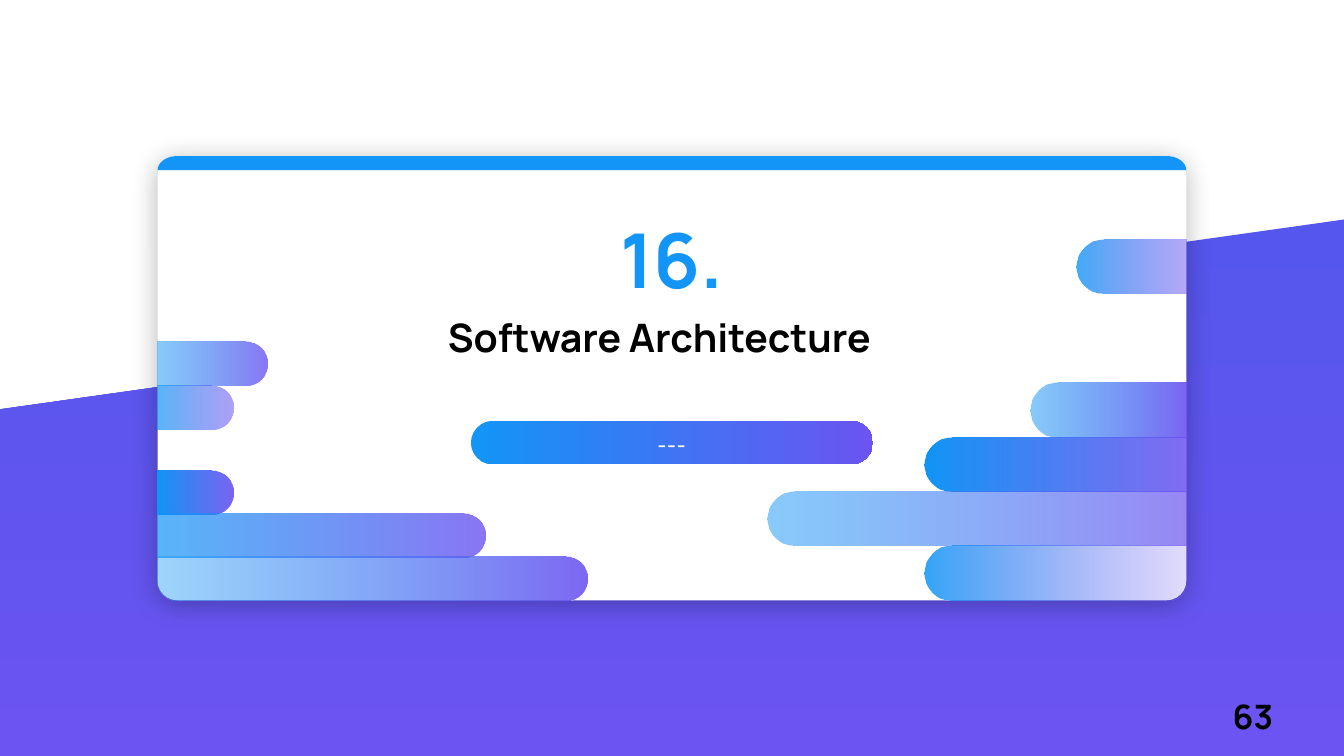
import pptx
import pptx.dml.color
import pptx.enum.shapes
import pptx.enum.text
import pptx.oxml
import pptx.oxml.ns
import pptx.util

Pt = pptx.util.Pt
RGBColor = pptx.dml.color.RGBColor
PP_ALIGN = pptx.enum.text.PP_ALIGN
ROUNDED = pptx.enum.shapes.MSO_SHAPE.ROUNDED_RECTANGLE
qn = pptx.oxml.ns.qn

BLUE = RGBColor(0x12, 0x95, 0xF6)
VIOLET = RGBColor(0x6B, 0x54, 0xF1)
INDIGO = RGBColor(0x55, 0x56, 0xED)
WHITE = RGBColor(0xFF, 0xFF, 0xFF)
BLACK = RGBColor(0x00, 0x00, 0x00)

CARD_LEFT, CARD_TOP, CARD_WIDTH, CARD_HEIGHT = 112.6, 111.5, 734.8, 317.3
CARD_RIGHT = CARD_LEFT + CARD_WIDTH
CARD_RADIUS = 14
STRIP_HEIGHT = 10.1
ARC_HANDLE = 0.55  # Bezier handle length for a quarter circle

# Bars as (top, length, start opacity, end opacity)
LEFT_BAR_HEIGHT = 31.3
LEFT_BARS = [
    (244.1, 78.3, 50, 80),
    (275.4, 54.1, 70, 55),
    (336, 54.1, 100, 90),
    (367, 234.1, 70, 80),
    (397.5, 307.2, 40, 88),
]
RIGHT_BAR_HEIGHT = 38.9
RIGHT_STACK_TOP, RIGHT_STEP = 273.4, 38.8
RIGHT_BARS = [(170.8, 78.5, 80, 50)] + [
    (RIGHT_STACK_TOP + row * RIGHT_STEP, length, start, end)
    for row, (length, start, end) in enumerate(
        [(111.2, 50, 90), (187.1, 100, 85), (299.1, 50, 70), (187.1, 85, 20)])
]


def a_element(parent, tag, **attributes):
    """Append a DrawingML element to parent."""
    element = pptx.oxml.parse_xml(f'<a:{tag} {pptx.oxml.ns.nsdecls("a")}/>')
    for key, value in attributes.items():
        element.set(key, str(value))
    parent.append(element)
    return element


def bend(line, previous, turn):
    """Make a straight segment a quarter arc; even turns set off vertically."""
    (x0, y0), (x1, y1) = [(int(pt.get("x")), int(pt.get("y")))
                          for pt in (previous[-1], line[0])]
    corner_x, corner_y = (x1, y0) if turn % 2 else (x0, y1)
    line.tag = qn("a:cubicBezTo")
    end = line[0]
    for x, y in ((x0, y0), (x1, y1)):
        a_element(line, "pt", x=round(x + ARC_HANDLE * (corner_x - x)),
                  y=round(y + ARC_HANDLE * (corner_y - y)))
    line.append(end)


class SectionSlide:
    heading_font = "Manrope"
    label_font = "League Spartan"

    def __init__(self, deck):
        self.shapes = deck.slides.add_slide(deck.slide_layouts[6]).shapes

    def paint(self, shape, fill, angle=0):
        """Fill with one colour, or with a gradient of two (colour, opacity) stops."""
        shape.shadow.inherit = False
        shape.line.fill.background()
        if isinstance(fill, RGBColor):
            shape.fill.solid()
            shape.fill.fore_color.rgb = fill
            return shape
        shape.fill.gradient()
        shape.fill.gradient_angle = angle
        for stop, (color, opacity) in zip(shape.fill.gradient_stops, fill):
            stop.color.rgb = color
            if opacity < 100:
                a_element(stop._gs.find(qn("a:srgbClr")), "alpha", val=opacity * 1000)
        return shape

    def rounded(self, left, top, width, height, radius, fill):
        shape = self.shapes.add_shape(ROUNDED, Pt(left), Pt(top), Pt(width), Pt(height))
        shape.adjustments[0] = radius / height
        return self.paint(shape, fill)

    def polygon(self, points, fill, angle=0):
        corners = [(Pt(x), Pt(y)) for x, y in points]
        builder = self.shapes.build_freeform(*corners[0])
        builder.add_line_segments(corners[1:])
        return self.paint(builder.convert_to_shape(), fill, angle)

    def corner_cut(self, left, top, width, height, radii, fill):
        """Rectangle with its own radius per corner, clockwise from top left."""
        right, bottom = left + width, top + height
        corners = [(left, top, 1, 1), (right, top, -1, 1),
                   (right, bottom, -1, -1), (left, bottom, 1, -1)]
        points, arcs = [], {}
        for turn, ((x, y, inward_x, inward_y), radius) in enumerate(zip(corners, radii)):
            beside = (x + inward_x * radius, y)
            below = (x, y + inward_y * min(radius, height))
            start, end = (beside, below) if turn % 2 else (below, beside)
            if not points or Pt(abs(points[-1][1] - start[1])) or points[-1][0] != start[0]:
                points.append(start)
            if radius:
                arcs[len(points)] = turn
                points.append(end)
        shape = self.polygon(points, fill)
        outline = list(next(shape._element.iter(qn("a:path"))))
        for index, turn in arcs.items():
            bend(outline[index], outline[index - 1], turn)
        return shape

    def soft_shadow(self, shape):
        effects = shape._element.spPr.find(qn("a:effectLst"))
        shadow = a_element(effects, "outerShdw", blurRad=Pt(19), dist=Pt(3),
                           dir=90 * 60000, algn="t", rotWithShape=0)
        a_element(a_element(shadow, "srgbClr", val=BLACK), "alpha", val=28000)

    def text(self, left, top, width, height, words, size, color,
             font=heading_font, bold=True, align=PP_ALIGN.CENTER):
        frame = self.shapes.add_textbox(Pt(left), Pt(top), Pt(width), Pt(height)).text_frame
        frame.word_wrap = True
        frame.vertical_anchor = pptx.enum.text.MSO_ANCHOR.MIDDLE
        paragraph = frame.paragraphs[0]
        paragraph.alignment = align
        run = paragraph.add_run()
        run.text = words
        run.font.name = font
        run.font.size = Pt(size)
        run.font.bold = bold
        run.font.color.rgb = color
        return paragraph


def main():
    deck = pptx.Presentation()
    deck.slide_width, deck.slide_height = Pt(960), Pt(540)
    slide = SectionSlide(deck)

    slide.polygon([(960, 156.8), (960, 540), (0, 540), (0, 292.4)],
                  [(INDIGO, 100), (VIOLET, 100)], angle=270)
    card = slide.rounded(CARD_LEFT, CARD_TOP, CARD_WIDTH, CARD_HEIGHT, CARD_RADIUS, WHITE)
    slide.soft_shadow(card)
    slide.corner_cut(CARD_LEFT, CARD_TOP, CARD_WIDTH, STRIP_HEIGHT,
                     (CARD_RADIUS, CARD_RADIUS, 0, 0), BLUE)

    title = slide.text(-33.1, 220.3, 972, 41, "Software Architecture", 28, BLACK)
    title.level = 1
    title._p.get_or_add_pPr().set("marL", str(Pt(36)))
    title._p.get_or_add_pPr().set("indent", "0")

    for bars, height, from_left in ((LEFT_BARS, LEFT_BAR_HEIGHT, True),
                                    (RIGHT_BARS, RIGHT_BAR_HEIGHT, False)):
        tip = height / 2
        for bar in bars:
            top, length, start, end = bar
            card_corner = CARD_RADIUS if bar == bars[-1] else 0
            left = CARD_LEFT if from_left else CARD_RIGHT - length
            radii = (0, tip, tip, card_corner) if from_left else (tip, 0, card_corner, tip)
            slide.corner_cut(left, top, length, height, radii,
                             [(BLUE, start), (VIOLET, end)])

    slide.rounded(336.4, 300.8, 287.2, 30.8, 15.4, [(BLUE, 100), (VIOLET, 100)])
    slide.text(339.1, 301.7, 281.5, 28.8, "---", 18, WHITE,
               font=slide.label_font, bold=False)
    slide.text(274.3, 147.8, 411.8, 72.7, "16.", 54, BLUE)
    slide.text(873.4, 493.4, 69.8, 36, "63", 24, BLACK, align=PP_ALIGN.LEFT)

    deck.save("out.pptx")


if __name__ == "__main__":
    main()
